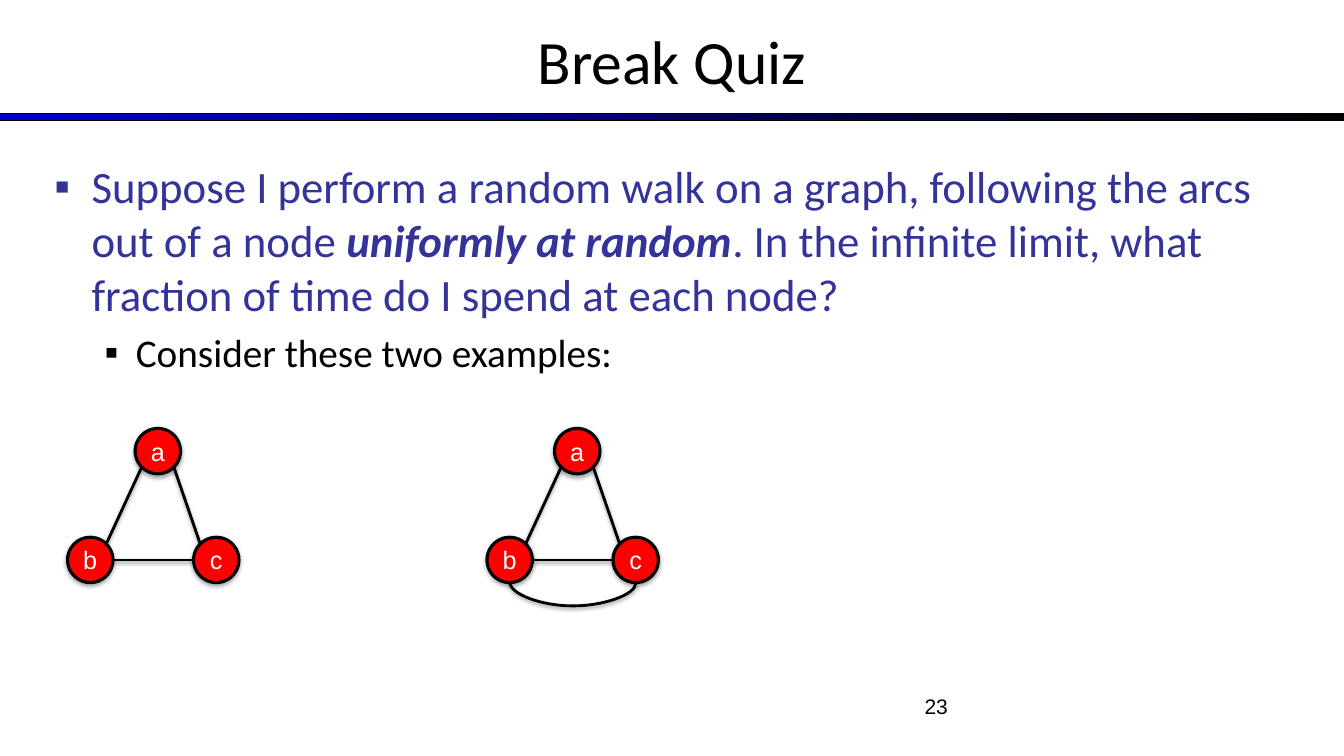
from math import cos, radians, sin

from lxml.etree import SubElement
from pptx import Presentation
from pptx.dml.color import RGBColor
from pptx.enum.shapes import MSO_CONNECTOR, MSO_SHAPE
from pptx.enum.text import MSO_ANCHOR, PP_ALIGN
from pptx.oxml.ns import qn
from pptx.util import Inches, Pt

BLACK = RGBColor(0x00, 0x00, 0x00)
WHITE = RGBColor(0xFF, 0xFF, 0xFF)
RED = RGBColor(0xFF, 0x00, 0x00)
BLUE = RGBColor(0x00, 0x00, 0xCC)
INDIGO = RGBColor(0x33, 0x33, 0x99)

TITLE = "Break Quiz"
QUESTION = [
    ("Suppose I perform a random walk on a graph, following the arcs out of a node ", False),
    ("uniformly at random", True),
    (". In the infinite limit, what fraction of time do I spend at each node?", False),
]
PROMPT = [("Consider these two examples:", False)]
PAGE_NUMBER = "23"

NODE_SIZE = 0.45
GRAPH_TOP = 4.25
GRAPH_LEFTS = [0.67, 4.83]
NODES = {"a": (0.67, 0), "c": (1.25, 1.08), "b": (0, 1.08)}
EDGES = [("a", 135, "b", -45), ("a", 45, "c", -135), ("b", 0, "c", 180)]
ARC_DEPTH = 0.24
ARC_THICKNESS = 0.01


def write(paragraph, runs, size, color, font="Calibri", align=PP_ALIGN.LEFT,
          level=0, indent=None, space_before=0):
    paragraph.alignment = align
    paragraph.level = level
    paragraph.space_before = Pt(space_before)
    if indent:
        left, hanging = indent
        properties = paragraph._p.get_or_add_pPr()
        properties.set("marL", str(Inches(left)))
        properties.set("indent", str(-Inches(hanging)))
        bullet_color = SubElement(properties, qn("a:buClr"))
        SubElement(bullet_color, qn("a:srgbClr"), val=str(color))
        SubElement(properties, qn("a:buFont"), typeface="Arial")
        SubElement(properties, qn("a:buChar"), char="▪")
    for text, emphasis in runs:
        run = paragraph.add_run()
        run.text = text
        run.font.name = font
        run.font.size = Pt(size)
        run.font.color.rgb = color
        run.font.bold = run.font.italic = emphasis


def add_text_frame(slide, left, top, width, height, anchor=MSO_ANCHOR.TOP):
    box = slide.shapes.add_textbox(Inches(left), Inches(top), Inches(width), Inches(height))
    frame = box.text_frame
    frame.word_wrap = True
    frame.vertical_anchor = anchor
    return frame


def add_shadow(shape, opacity, distance):
    effects = SubElement(shape._element.spPr, qn("a:effectLst"))
    shadow = SubElement(effects, qn("a:outerShdw"), blurRad=str(Pt(3.1)),
                        dist=str(Pt(distance)), dir="5400000", rotWithShape="0")
    color = SubElement(shadow, qn("a:srgbClr"), val="000000")
    SubElement(color, qn("a:alpha"), val=str(opacity * 1000))


def add_node(slide, name, left, top):
    node = slide.shapes.add_shape(MSO_SHAPE.OVAL, Inches(left), Inches(top),
                                  Inches(NODE_SIZE), Inches(NODE_SIZE))
    node.fill.solid()
    node.fill.fore_color.rgb = RED
    node.line.color.rgb = BLACK
    node.line.width = Pt(2.25)
    add_shadow(node, 35, 1.8)
    frame = node.text_frame
    frame.word_wrap = False
    frame.vertical_anchor = MSO_ANCHOR.MIDDLE
    frame.margin_left = frame.margin_right = frame.margin_top = frame.margin_bottom = 0
    write(frame.paragraphs[0], [(name, False)], 18, WHITE, font="Arial", align=PP_ALIGN.CENTER)


def add_edge(slide, start, end, kind=MSO_CONNECTOR.STRAIGHT):
    edge = slide.shapes.add_connector(kind, *[Inches(value) for value in (*start, *end)])
    edge.line.color.rgb = BLACK
    edge.line.width = Pt(2)
    add_shadow(edge, 38, 1.6)
    return edge


def rim_point(graph_left, name, angle):
    left, top = NODES[name]
    radius = NODE_SIZE / 2
    return (graph_left + left + radius + radius * cos(radians(angle)),
            GRAPH_TOP + top + radius + radius * sin(radians(angle)))


def add_lower_arc(slide, graph_left):
    left, level = rim_point(graph_left, "b", 90)
    right, _ = rim_point(graph_left, "c", 90)
    middle, half = (left + right) / 2, (right - left) / 2
    arc = add_edge(slide, (middle + ARC_THICKNESS / 2, level - half),
                   (middle - ARC_THICKNESS / 2, level + half), MSO_CONNECTOR.CURVE)
    properties = arc._element.spPr
    properties.find(qn("a:xfrm")).set("rot", str(270 * 60000))
    adjustments = properties.find(qn("a:prstGeom")).get_or_add_avLst()
    bend = round(ARC_DEPTH / ARC_THICKNESS * 100000)
    SubElement(adjustments, qn("a:gd"), name="adj1", fmla=f"val {bend}")


def add_graph(slide, graph_left):
    for name, (left, top) in NODES.items():
        add_node(slide, name, graph_left + left, GRAPH_TOP + top)
    for start, start_angle, end, end_angle in EDGES:
        add_edge(slide, rim_point(graph_left, start, start_angle),
                 rim_point(graph_left, end, end_angle))


def main():
    presentation = Presentation()
    presentation.slide_width = Inches(13.33)
    presentation.slide_height = Inches(7.5)
    slide = presentation.slides.add_slide(presentation.slide_layouts[6])

    rule = slide.shapes.add_shape(MSO_SHAPE.RECTANGLE, 0, Inches(1.13),
                                  Inches(13.33), Inches(0.07))
    rule.shadow.inherit = False
    rule.fill.gradient()
    rule.fill.gradient_angle = 0
    for stop, color, position in zip(rule.fill.gradient_stops, (BLUE, BLACK), (0, 1)):
        stop.color.rgb = color
        stop.position = position
    rule.line.color.rgb = BLACK
    rule.line.width = Pt(0.75)

    title = add_text_frame(slide, 0, -0.03, 13.33, 1.25, anchor=MSO_ANCHOR.MIDDLE)
    write(title.paragraphs[0], [(TITLE, False)], 44, BLACK, align=PP_ALIGN.CENTER)

    body = add_text_frame(slide, 0.44, 1.53, 12.44, 5.17)
    write(body.paragraphs[0], QUESTION, 32, INDIGO, indent=(0.37, 0.37))
    write(body.add_paragraph(), PROMPT, 28, BLACK, level=1, indent=(0.81, 0.31),
          space_before=5.6)

    number = add_text_frame(slide, 7.17, 6.83, 2.33, 0.52)
    write(number.paragraphs[0], [(PAGE_NUMBER, False)], 15, BLACK, font="Arial",
          align=PP_ALIGN.RIGHT)

    for graph_left in GRAPH_LEFTS:
        add_graph(slide, graph_left)
    add_lower_arc(slide, GRAPH_LEFTS[1])

    presentation.save("out.pptx")


if __name__ == "__main__":
    main()
